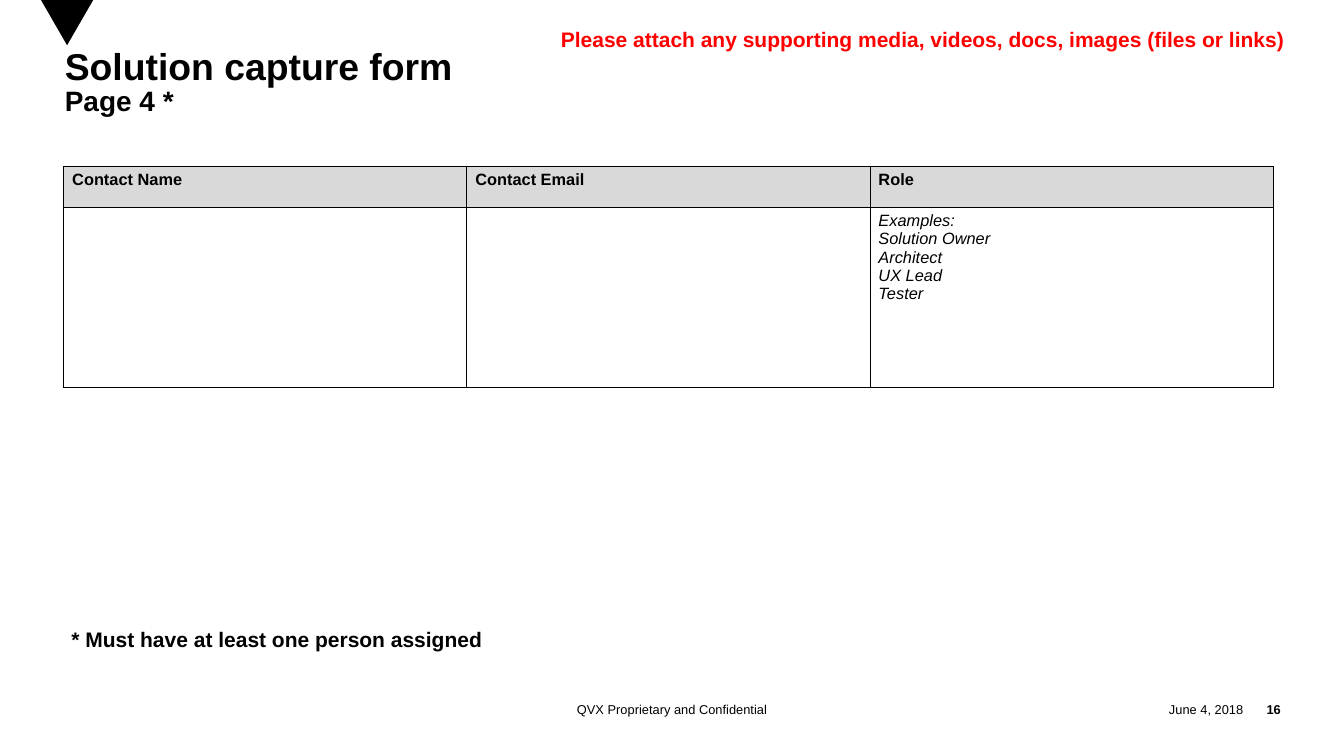
"""Build the contacts page of the solution capture form."""
from lxml.etree import SubElement
from pptx import Presentation
from pptx.dml.color import RGBColor as RGB
from pptx.enum.text import MSO_ANCHOR as ANCHOR, PP_ALIGN as ALIGN
from pptx.oxml import parse_xml
from pptx.oxml.ns import nsdecls, qn
from pptx.util import Cm, Pt

FONT = "Arial"
COLORS = {"black": "000000", "red": "FF0000", "header": "D9D9D9"}

TITLE = [("Solution capture form ", 32), ("Page 4 *", 24)]
NOTICES = [
    ("Please attach any supporting media, videos, docs, images (files or links)",
     (16.71, 0.69, 22.61, 1.02), "red"),
    ("* Must have at least one person assigned", (1.91, 18.82, 13.06, 1.02), "black"),
]
FOOTERS = [
    ("QVX Proprietary and Confidential", 13.34, 13.97, ALIGN.CENTER, False),
    ("June 4, 2018", 33.05, 4.55, ALIGN.RIGHT, False),
    ("16", 37.59, 1.14, ALIGN.RIGHT, True),
]
FOOTER_TOP, FOOTER_HEIGHT = 21.06, 0.76
CONTACTS = [
    [["Contact Name"], ["Contact Email"], ["Role"]],
    [[], [], ["Examples:", "Solution Owner", "Architect", "UX Lead", "Tester"]],
]
TABLE_LEFT, TABLE_TOP = 1.93, 5.03
COL_WIDTH, ROW_HEIGHTS = 12.19, [1.24, 5.46]
MARKER = [(1.24, 0), (2.03, 1.37), (2.82, 0)]


def add_run(p, text, size, color="black", bold=False, italic=False):
    r = p.add_run()
    r.text = text
    r.font.name, r.font.size = FONT, Pt(size)
    r.font.bold, r.font.italic = bold, italic
    r.font.color.rgb = RGB.from_string(COLORS[color])


def add_box(slide, box, wrap=False, inset=True):
    tf = slide.shapes.add_textbox(*map(Cm, box)).text_frame
    tf.word_wrap = wrap
    if not inset:
        tf.margin_left = tf.margin_top = tf.margin_right = tf.margin_bottom = 0
    return tf


def add_marker(slide):
    points = [(Cm(x), Cm(y)) for x, y in MARKER]
    builder = slide.shapes.build_freeform(*points[0])
    builder.add_line_segments(points[1:], close=True)
    s = builder.convert_to_shape()
    s.shadow.inherit = False
    s.fill.solid()
    s.fill.fore_color.rgb = RGB.from_string(COLORS["black"])
    s.line.fill.background()


def add_borders(cell):
    props = cell._tc.get_or_add_tcPr()
    for i, side in enumerate("LRTB"):
        ln = parse_xml(f'<a:ln{side} {nsdecls("a")} w="{Pt(1)}"/>')
        fill = SubElement(ln, qn("a:solidFill"))
        SubElement(fill, qn("a:srgbClr"), val=COLORS["black"])
        props.insert(i, ln)


def add_contacts(slide):
    rows, cols = len(CONTACTS), len(CONTACTS[0])
    table = slide.shapes.add_table(
        rows, cols, Cm(TABLE_LEFT), Cm(TABLE_TOP),
        Cm(COL_WIDTH * cols), Cm(sum(ROW_HEIGHTS))).table
    table.horz_banding = table.first_row = False
    for col in table.columns:
        col.width = Cm(COL_WIDTH)
    for i, row in enumerate(CONTACTS):
        table.rows[i].height = Cm(ROW_HEIGHTS[i])
        for j, lines in enumerate(row):
            cell = table.cell(i, j)
            if i == 0:
                cell.fill.solid()
                cell.fill.fore_color.rgb = RGB.from_string(COLORS["header"])
            else:
                cell.fill.background()
            add_borders(cell)
            tf = cell.text_frame
            for k, line in enumerate(lines):
                p = tf.add_paragraph() if k else tf.paragraphs[0]
                add_run(p, line, 14, bold=i == 0, italic=i > 0)


def main():
    prs = Presentation()
    prs.slide_width, prs.slide_height = Cm(40.64), Cm(22.86)
    slide = prs.slides.add_slide(prs.slide_layouts[6])
    add_marker(slide)

    for text, left, width, align, bold in FOOTERS:
        tf = add_box(slide, (left, FOOTER_TOP, width, FOOTER_HEIGHT), bold, inset=False)
        tf.vertical_anchor = ANCHOR.MIDDLE
        p = tf.paragraphs[0]
        p.alignment = align
        add_run(p, text, 11, bold=bold)

    add_contacts(slide)

    p = add_box(slide, (1.96, 1.52, 36.83, 3.94), True, inset=False).paragraphs[0]
    p.line_spacing = 0.85
    for i, (text, size) in enumerate(TITLE):
        if i:
            p.add_line_break()
        add_run(p, text, size, bold=True)

    for text, box, color in NOTICES:
        add_run(add_box(slide, box).paragraphs[0], text, 18, color, bold=True)

    prs.save("out.pptx")


if __name__ == "__main__":
    main()
